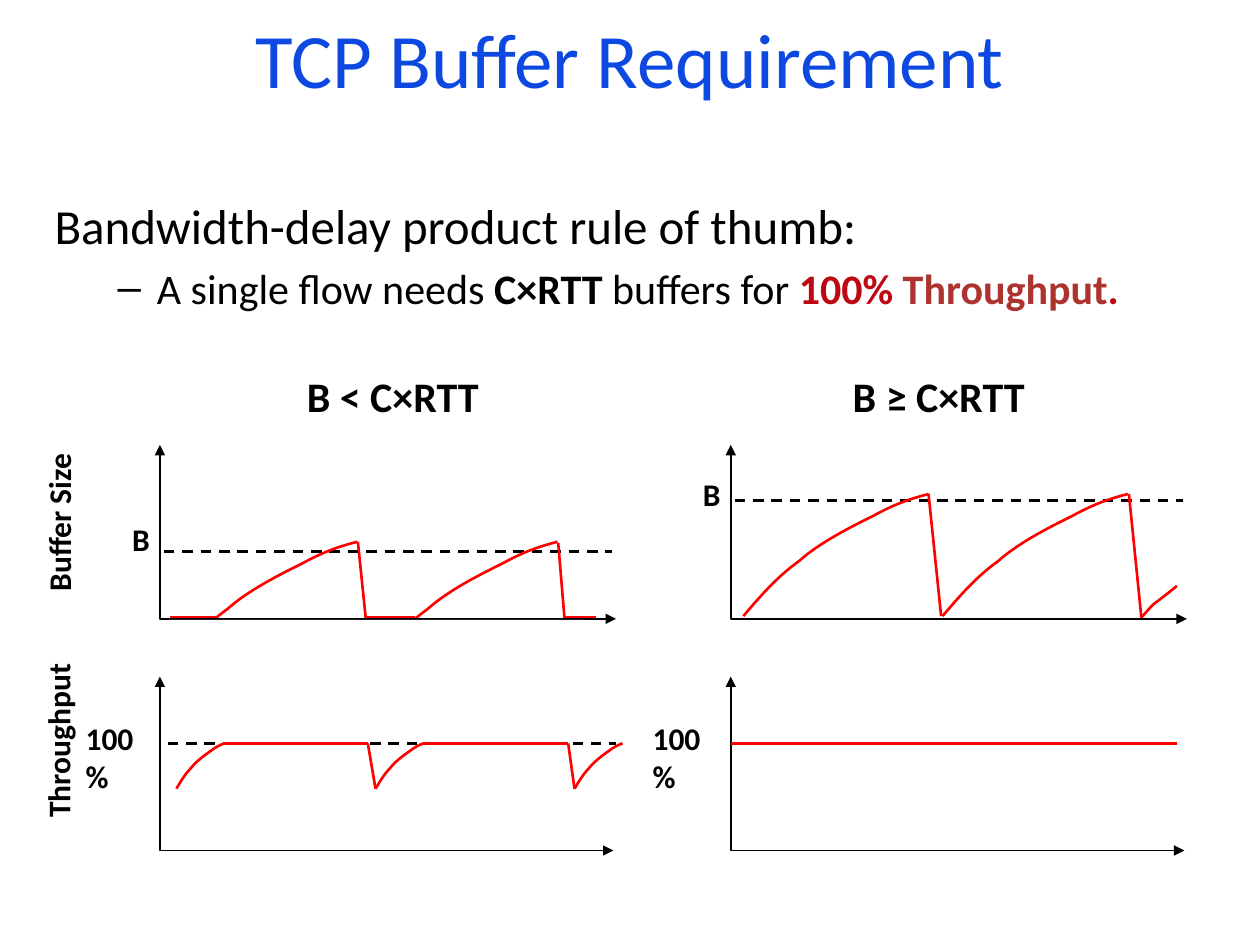
from pptx import Presentation
from pptx.dml.color import RGBColor
from pptx.enum.dml import MSO_LINE
from pptx.enum.shapes import MSO_CONNECTOR, MSO_SHAPE
from pptx.enum.text import MSO_ANCHOR, PP_ALIGN
from pptx.oxml.ns import qn
from pptx.util import Pt
from lxml import etree

LEFT, MID, RIGHT = PP_ALIGN.LEFT, PP_ALIGN.CENTER, PP_ALIGN.RIGHT
TOP, MIDDLE = MSO_ANCHOR.TOP, MSO_ANCHOR.MIDDLE
DASH, STRAIGHT, RECT = MSO_LINE.DASH, MSO_CONNECTOR.STRAIGHT, MSO_SHAPE.RECTANGLE

THEME = {
    "font": "Calibri", "bullet": "Arial",
    "blue": "0D49E1", "ink": "000000", "paper": "FFFFFF", "trace": "FF0000",
    "red": "BD0811", "brick": "AD332F",
    "title": 44, "lead": 28, "head": 24, "label": 18, "thin": 1, "thick": 1.5,
}

# Content: runs are (text, colour, bold)
TITLE = "TCP Buffer Requirement"
LEAD = "Bandwidth-delay product rule of thumb:"
RULE = [("A single flow needs ", "ink", False), ("C×RTT ", "ink", True),
        ("buffers for ", "ink", False), ("100% ", "red", True),
        ("Throughput", "brick", True), (".", "red", True)]

# Text, box, turn, alignment, size, wrap
LABELS = [
    ("Throughput", (-28.8, 419.8, 123.8, 28.8), 270, RIGHT, "label", True),
    ("Buffer Size", (-13.7, 285.1, 94.3, 28.8), 270, RIGHT, "label", False),
    ("B < C×RTT", (168.2, 208.1, 113.8, 36), 0, LEFT, "head", False),
    ("B ≥ C×RTT", (480.2, 208.1, 113.8, 36), 0, LEFT, "head", False),
    ("B", (68.4, 293.8, 18.7, 42.5), 0, LEFT, "label", True),
    ("B", (394.6, 267.8, 18.7, 42.5), 0, LEFT, "label", True),
    ("100%", (41.8, 407.5, 42.5, 42.5), 0, LEFT, "label", True),
    ("100%", (365.8, 407.5, 42.5, 42.5), 0, LEFT, "label", True),
]

# Charts: corner x per column; top and width per row
COLS = (91.4, 417.6)
BUFFER, FLOW = (254.2, 260.6), (386.6, 259.2)
TALL = 99.4
FULL = 424.8       # height of the 100% line
LOW = 450.7        # bottom of a throughput dip
FLOOR = 352.8      # empty buffer

# Unit curve shared by every rise, as Bezier points
CURVE = [(0, 0), (.09, .16), (.18, .32), (.3, .45), (.41, .6), (.58, .73),
         (.7, .82), (.82, .92), (.9, .96), (1, 1)]
SAW = (105.9, 69.8)     # width and height of a buffer rise
DIP = (27.4, 25.9)      # width and height of a throughput rise
KICK = [(652.3, 352.8), (662.4, 341.3), (655.9, 348.5), (672.5, 334.8)]

DASHES = [(95.8, FULL, 352.1), (93.6, 315.1, 349.9), (419.8, 286, 676.1)]
LEFT_SAWS, RIGHT_SAWS = (98.3, 212.7), (424.8, 538.6)
LEFT_DROPS = [(204.5, 309.6, 211.7, 379.4), (319, 310.3, 322.6, 353.5)]
RIGHT_DROPS = [(530.6, 282.2, 537.8, 352.1), (645.1, 282.2, 652.3, 353.5)]
EMPTY = [(322.6, 340.6), (97.2, 124.6), (209.5, 236.9)]
DIPS = (100.8, 214.6, 328.3)
FULLS = [(128.2, 210.2), (241.9, 324.7), (417.6, 672.5)]

prs = Presentation()
prs.slide_width, prs.slide_height = Pt(720), Pt(540)
slide = prs.slides.add_slide(prs.slide_layouts[6])
shapes = slide.shapes


def color(name):
    return RGBColor.from_string(THEME[name])


def style(run, size, ink="ink", bold=False):
    font = run.font
    font.name, font.size, font.bold = THEME["font"], Pt(THEME[size]), bold
    font.color.rgb = color(ink)


def box(area, wrap=True, anchor=TOP):
    item = shapes.add_textbox(*map(Pt, area))
    item.text_frame.word_wrap = wrap
    item.text_frame.vertical_anchor = anchor
    return item


def label(text, area, turn, align, size, wrap):
    item = box(area, wrap)
    item.rotation = turn
    para = item.text_frame.paragraphs[0]
    para.text, para.alignment = text, align
    style(para.runs[0], size, bold=True)


def line(x1, y1, x2, y2, ink="trace", dash=None):
    item = shapes.add_connector(STRAIGHT, Pt(x1), Pt(y1), Pt(x2), Pt(y2))
    etree.SubElement(item._element.spPr, qn("a:effectLst"))
    item.line.color.rgb = color(ink)
    item.line.width = Pt(THEME["thick"])
    if dash:
        item.line.dash_style = dash


def outline(points, ink, width):
    spots = [(Pt(x), Pt(y)) for x, y in points]
    pen = shapes.build_freeform(*spots[0])
    pen.add_line_segments(spots[1:], close=False)
    item = pen.convert_to_shape()
    item.shadow.inherit = False
    item.fill.background()
    item.line.color.rgb = color(ink)
    item.line.width = Pt(THEME[width])
    return item


def curve(knots):
    """Draw the knots, then join each three segments into one Bezier piece."""
    item = outline(knots, "trace", "thick")
    legs = list(item._element.iter(qn("a:lnTo")))
    for i in range(0, len(legs), 3):
        piece = etree.Element(qn("a:cubicBezTo"))
        legs[i].addprevious(piece)
        for leg in legs[i:i + 3]:
            piece.append(leg[0])
            leg.getparent().remove(leg)


def rise(x, y, size):
    wide, high = size
    curve([(x + wide * u, y - high * v) for u, v in CURVE])


def axes(x, row):
    top, wide = row
    item = outline([(x, top), (x, top + TALL), (x + wide, top + TALL)], "ink", "thin")
    edge = item.line._get_or_add_ln()
    for end in ("a:headEnd", "a:tailEnd"):
        etree.SubElement(edge, qn(end), type="triangle")


# Title
para = box((0, 0, 720, 66.2), anchor=MIDDLE).text_frame.paragraphs[0]
para.text, para.alignment = TITLE, MID
style(para.runs[0], "title", "blue")

# Rule of thumb
frame = box((24.1, 108.4, 648, 77.8)).text_frame
frame.text = LEAD
style(frame.paragraphs[0].runs[0], "lead")
para = frame.add_paragraph()
props = para._p.get_or_add_pPr()
props.set("marL", str(Pt(58.5)))
props.set("indent", str(Pt(-22.5)))
etree.SubElement(props, qn("a:buFont"), typeface=THEME["bullet"])
etree.SubElement(props, qn("a:buChar"), char="–")
para.space_before = Pt(4.3)
for text, ink, bold in RULE:
    run = para.add_run()
    run.text = text
    style(run, "head", ink, bold)

# Reference levels
for x, y, end in DASHES:
    line(x, y, end, y, "ink", DASH)

# Buffer size: sawtooth traces
for x in LEFT_SAWS:
    rise(x, 379.4, SAW)
for x in RIGHT_SAWS:
    rise(x, 352.1, SAW)
for drop in LEFT_DROPS + RIGHT_DROPS:
    line(*drop)
for x, end in EMPTY:
    line(x, FLOOR, end, FLOOR)
curve(KICK)

# Axes, with a cover for the trace below the empty buffer
for x in COLS:
    axes(x, BUFFER)
cover = shapes.add_shape(RECT, Pt(95.8), Pt(354.2), Pt(237.6), Pt(35.3))
cover.shadow.inherit = False
cover.fill.solid()
cover.fill.fore_color.rgb = color("paper")
cover.line.fill.background()
for x in COLS:
    axes(x, FLOW)

# Throughput: dips and full use
for x in DIPS:
    rise(x, LOW, DIP)
for (_, end), x in zip(FULLS, DIPS[1:]):
    line(end, FULL, x, LOW)
for x, end in FULLS:
    line(x, FULL, end, FULL)

# Labels
for item in LABELS:
    label(*item)

prs.save("out.pptx")
